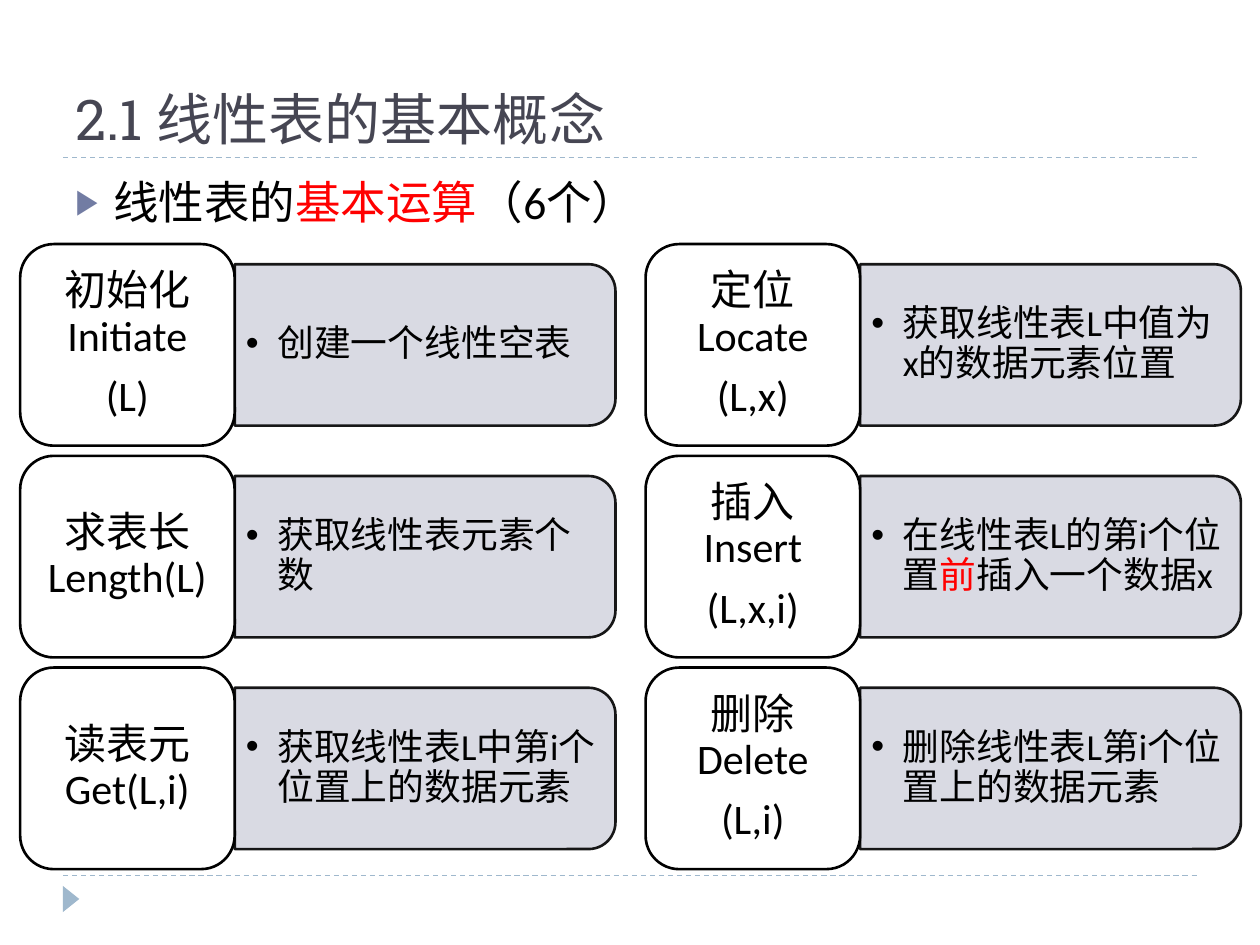
from dataclasses import dataclass

from lxml.etree import SubElement
from pptx import Presentation
from pptx.dml.color import RGBColor
from pptx.enum.dml import MSO_LINE
from pptx.enum.shapes import MSO_CONNECTOR, MSO_SHAPE
from pptx.enum.text import MSO_ANCHOR, PP_ALIGN
from pptx.oxml.ns import qn
from pptx.util import Pt

BLACK = RGBColor(0x00, 0x00, 0x00)
WHITE = RGBColor(0xFF, 0xFF, 0xFF)
RED = RGBColor(0xFF, 0x00, 0x00)
TITLE_GREY = RGBColor(0x46, 0x46, 0x53)
BULLET_BLUE = RGBColor(0x72, 0x7C, 0xA3)
RULE_BLUE = RGBColor(0x9F, 0xB8, 0xCD)
PANEL_GREY = RGBColor(0xD5, 0xD7, 0xE0)

GRID_LEFT, GRID_TOP = 11.5, 139.5
COLUMN_PITCH, ROW_PITCH = 357.4, 121
LABEL_WIDTH, LABEL_HEIGHT, LABEL_PADDING = 122.6, 115.2, 5.8
PANEL_WIDTH, PANEL_HEIGHT = 217.6, 92.2
PANEL_TEXT_WIDTH, PANEL_TEXT_HEIGHT = 213, 83


@dataclass(frozen=True)
class Segment:
    text: str
    color: RGBColor = BLACK


@dataclass(frozen=True)
class Operation:
    label: str
    description: tuple[Segment, ...]


COLUMNS = (
    (
        Operation("初始化\vInitiate\n(L)", (Segment("创建一个线性空表"),)),
        Operation("求表长\vLength(L)", (Segment("获取线性表元素个数"),)),
        Operation("读表元\vGet(L,i)", (Segment("获取线性表L中第i个位置上的数据元素"),)),
    ),
    (
        Operation("定位\vLocate\n(L,x)", (Segment("获取线性表L中值为x的数据元素位置"),)),
        Operation("插入\vInsert\n(L,x,i)", (
            Segment("在线性表L的第i个位置"), Segment("前", RED), Segment("插入一个数据x"))),
        Operation("删除\vDelete\n(L,i)", (Segment("删除线性表L第i个位置上的数据元素"),)),
    ),
)


def add_text_box(slide, left: float, top: float, width: float, height: float,
                 anchor: MSO_ANCHOR):
    box = slide.shapes.add_textbox(Pt(left), Pt(top), Pt(width), Pt(height))
    frame = box.text_frame
    frame.word_wrap = True
    frame.vertical_anchor = anchor
    return frame


def format_run(run, size: float, color: RGBColor, font: str = "Calibri") -> None:
    run.font.size = Pt(size)
    run.font.name = font
    run.font.color.rgb = color


def add_segments(paragraph, segments: tuple[Segment, ...], size: float) -> None:
    for segment in segments:
        run = paragraph.add_run()
        run.text = segment.text
        format_run(run, size, segment.color)


def set_bullet(paragraph, character: str, indent: float, color: RGBColor = BLACK,
               percent: int = 100) -> None:
    properties = paragraph._p.get_or_add_pPr()
    properties.set("marL", str(Pt(indent)))
    properties.set("indent", str(-Pt(indent)))
    bullet_color = SubElement(properties, qn("a:buClr"))
    SubElement(bullet_color, qn("a:srgbClr"), val=str(color))
    SubElement(properties, qn("a:buSzPct"), val=str(percent * 1000))
    SubElement(properties, qn("a:buFont"), typeface="Arial")
    SubElement(properties, qn("a:buChar"), char=character)


def set_opacity(color_format_fill, percent: int) -> None:
    for color in color_format_fill.iter(qn("a:srgbClr")):
        SubElement(color, qn("a:alpha"), val=str(percent * 1000))


def add_block(slide, kind: MSO_SHAPE, left: float, top: float, width: float,
              height: float, fill: RGBColor):
    shape = slide.shapes.add_shape(kind, Pt(left), Pt(top), Pt(width), Pt(height))
    shape.shadow.inherit = False
    shape.fill.solid()
    shape.fill.fore_color.rgb = fill
    shape.line.color.rgb = BLACK
    shape.line.width = Pt(1.5)
    return shape


def add_rule(slide, top: float) -> None:
    rule = slide.shapes.add_connector(
        MSO_CONNECTOR.STRAIGHT, Pt(36), Pt(top), Pt(684), Pt(top))
    rule.line.color.rgb = RULE_BLUE
    rule.line.width = Pt(0.75)
    rule.line.dash_style = MSO_LINE.DASH
    SubElement(rule._element.spPr, qn("a:effectLst"))


def add_panel(slide, left: float, top: float, segments: tuple[Segment, ...]) -> None:
    """Draw a panel turned a quarter so that its rounded end faces right."""
    shift = (PANEL_WIDTH - PANEL_HEIGHT) / 2
    panel = add_block(slide, MSO_SHAPE.ROUND_2_SAME_RECTANGLE, left + shift, top - shift,
                      PANEL_HEIGHT, PANEL_WIDTH, PANEL_GREY)
    panel.rotation = 90
    set_opacity(panel._element.spPr, 90)

    frame = add_text_box(slide, left, top + (PANEL_HEIGHT - PANEL_TEXT_HEIGHT) / 2,
                         PANEL_TEXT_WIDTH, PANEL_TEXT_HEIGHT, MSO_ANCHOR.MIDDLE)
    frame.margin_left = frame.margin_right = Pt(6.5)
    frame.margin_top = frame.margin_bottom = Pt(3)
    paragraph = frame.paragraphs[0]
    paragraph.line_spacing = 0.9
    paragraph.space_after = Pt(3.2)
    set_bullet(paragraph, "•", 18)
    add_segments(paragraph, segments, 21)


def add_label(slide, left: float, top: float, text: str) -> None:
    add_block(slide, MSO_SHAPE.ROUNDED_RECTANGLE, left, top, LABEL_WIDTH, LABEL_HEIGHT, WHITE)
    frame = add_text_box(slide, left + LABEL_PADDING, top + LABEL_PADDING,
                         LABEL_WIDTH - 2 * LABEL_PADDING, LABEL_HEIGHT - 2 * LABEL_PADDING,
                         MSO_ANCHOR.MIDDLE)
    frame.text = text
    for paragraph in frame.paragraphs:
        paragraph.alignment = PP_ALIGN.CENTER
        paragraph.line_spacing = 0.9
        paragraph.space_after = Pt(8.4)
        for run in paragraph.runs:
            format_run(run, 24, BLACK)


def add_operation(slide, left: float, top: float, operation: Operation) -> None:
    add_panel(slide, left + LABEL_WIDTH, top + (LABEL_HEIGHT - PANEL_HEIGHT) / 2,
              operation.description)
    add_label(slide, left, top, operation.label)


def add_heading(slide) -> None:
    title = add_text_box(slide, 36, 12, 648, 78, MSO_ANCHOR.BOTTOM)
    title.text = "2.1 线性表的基本概念"
    format_run(title.paragraphs[0].runs[0], 32, TITLE_GREY, "Roboto Slab")

    body = add_text_box(slide, 36, 96, 648, 389, MSO_ANCHOR.TOP)
    paragraph = body.paragraphs[0]
    paragraph.space_before = Pt(6)
    set_bullet(paragraph, "▶", 21.6, BULLET_BLUE, 76)
    add_segments(paragraph, (
        Segment("线性表的"), Segment("基本运算", RED), Segment("（6个）")), 26)


def main() -> None:
    presentation = Presentation()
    presentation.slide_width, presentation.slide_height = Pt(720), Pt(540)
    slide = presentation.slides.add_slide(presentation.slide_layouts[6])

    for top in (500.4, 90):
        add_rule(slide, top)
    marker = add_block(slide, MSO_SHAPE.ISOSCELES_TRIANGLE, 33.1, 509, 15, 9.4, RULE_BLUE)
    marker.rotation = 90
    marker.line.fill.background()
    add_heading(slide)

    for column, operations in enumerate(COLUMNS):
        for row, operation in enumerate(operations):
            add_operation(slide, GRID_LEFT + column * COLUMN_PITCH,
                          GRID_TOP + row * ROW_PITCH, operation)
    presentation.save("out.pptx")


if __name__ == "__main__":
    main()
